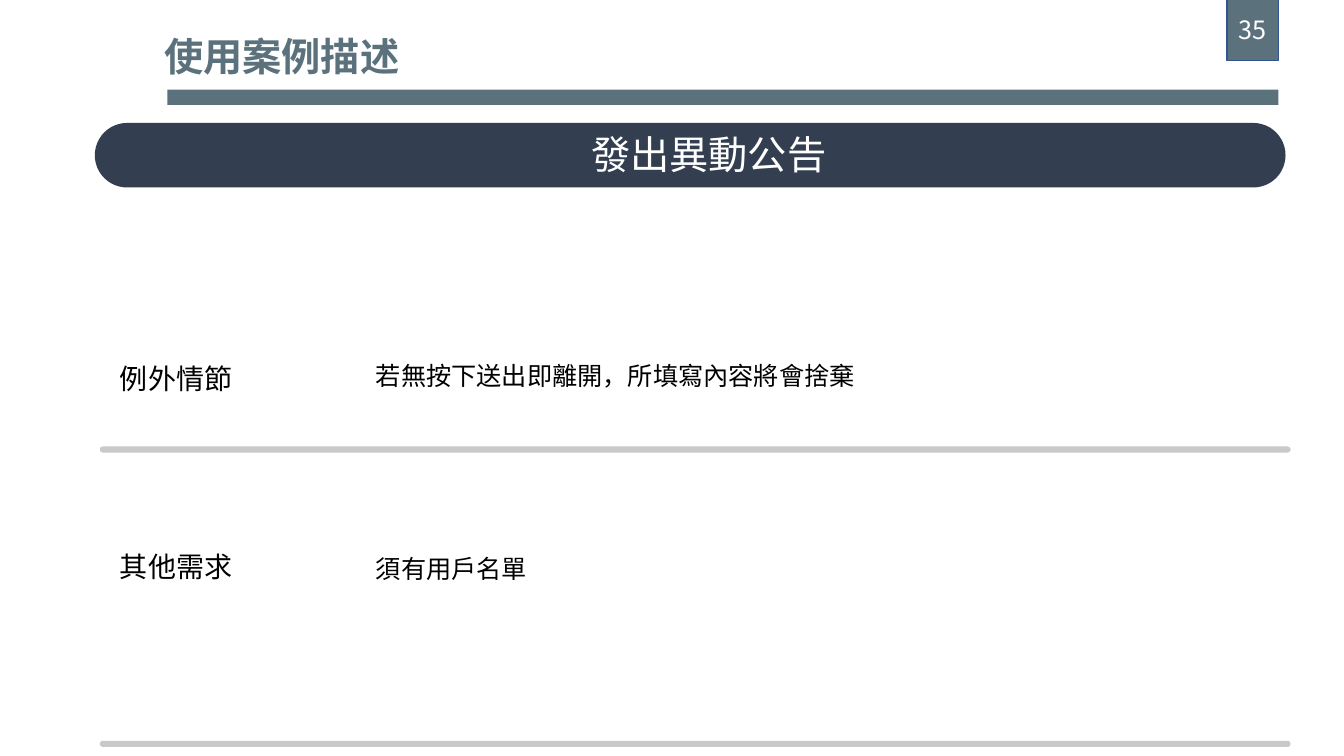
from lxml.etree import SubElement
from pptx import Presentation
from pptx.dml.color import RGBColor
from pptx.enum.shapes import MSO_SHAPE
from pptx.enum.text import MSO_ANCHOR, MSO_AUTO_SIZE, PP_ALIGN
from pptx.oxml.ns import qn
from pptx.util import Inches, Pt

FONT = "Noto Sans CJK SC"
COLORS = {
    "slate": "5B727D",
    "navy": "333F50",
    "rule": "C9C9C9",
    "badge_line": "325491",
    "white": "FFFFFF",
    "black": "000000",
}
WIDE_INSETS = (0.24, 0.12)
SMALL_INSETS = (0.1, 0.05)


def color(name):
    return RGBColor.from_string(COLORS[name])


def write(shape, text, size=18, ink="black", bold=False, align=PP_ALIGN.LEFT,
          anchor=MSO_ANCHOR.TOP, insets=SMALL_INSETS, wrap=False):
    frame = shape.text_frame
    frame.auto_size = MSO_AUTO_SIZE.NONE
    frame.word_wrap = wrap
    frame.vertical_anchor = anchor
    frame.margin_left = frame.margin_right = Inches(insets[0])
    frame.margin_top = frame.margin_bottom = Inches(insets[1])
    para = frame.paragraphs[0]
    para.alignment = align
    span = para.add_run()
    span.text = text
    span.font.name = FONT
    span.font.size = Pt(size)
    span.font.bold = bold
    span.font.color.rgb = color(ink)
    # East Asian typeface for the Chinese characters
    SubElement(span.font._element, qn("a:ea"), typeface=FONT)


def add_text(page, box, text, **style):
    shape = page.shapes.add_textbox(*map(Inches, box))
    write(shape, text, **style)


def add_block(page, box, fill, line=None, rounded=False):
    kind = MSO_SHAPE.ROUNDED_RECTANGLE if rounded else MSO_SHAPE.RECTANGLE
    shape = page.shapes.add_shape(kind, *map(Inches, box))
    shape.shadow.inherit = False
    if rounded:
        shape.adjustments[0] = 0.5
    shape.fill.solid()
    shape.fill.fore_color.rgb = color(fill)
    if line:
        shape.line.color.rgb = color(line)
        shape.line.width = Pt(1)
    else:
        shape.line.fill.background()
    return shape


def add_header(page, left, top, width):
    # Title above a full-width bar
    title = page.shapes.title
    title.left, title.top = Inches(left - 0.13), Inches(top + 0.27)
    title.width, title.height = Inches(2.56), Inches(0.57)
    write(title, "使用案例描述", size=28, ink="slate", bold=True)
    add_block(page, (left, top + 0.89, width, 0.15), "slate")

    # Page number badge, flush with the right end of the bar
    badge_width = 0.51
    badge = add_block(page, (left + width - badge_width, top - 0.01, badge_width, 0.61),
                      "slate", line="badge_line")
    write(badge, "35", ink="white", align=PP_ALIGN.CENTER,
          anchor=MSO_ANCHOR.MIDDLE, wrap=True)


def add_banner(page, left, top, width):
    add_block(page, (left, top, width, 0.64), "navy", rounded=True)
    add_text(page, (left + 4.67, top - 0.05, 2.84, 0.71), "發出異動公告", size=28,
             ink="white", align=PP_ALIGN.CENTER, insets=WIDE_INSETS)


def add_row(page, left, top, width, label, detail, detail_width, detail_drop, rule_drop):
    add_text(page, (left - 0.04, top, 1.61, 0.58), label, size=20, insets=WIDE_INSETS)
    add_text(page, (left + 2.64, top + detail_drop, detail_width, 0.4), detail)
    add_block(page, (left, top + rule_drop, width, 0.06), "rule", rounded=True)


def main():
    deck = Presentation()
    deck.slide_width, deck.slide_height = Inches(13.33), Inches(7.5)
    page = deck.slides.add_slide(deck.slide_layouts[5])

    add_header(page, 1.66, 0, 11.02)
    add_banner(page, 0.94, 1.22, 11.81)

    # Use case rows, each closed by a rule
    add_row(page, 0.99, 3.47, 11.81, "例外情節", "若無按下送出即離開，所填寫內容將會捨棄",
            detail_width=5, detail_drop=0.06, rule_drop=0.96)
    add_row(page, 0.99, 5.33, 11.81, "其他需求", "須有用戶名單",
            detail_width=1.72, detail_drop=0.11, rule_drop=2.02)

    deck.save("out.pptx")


if __name__ == "__main__":
    main()
